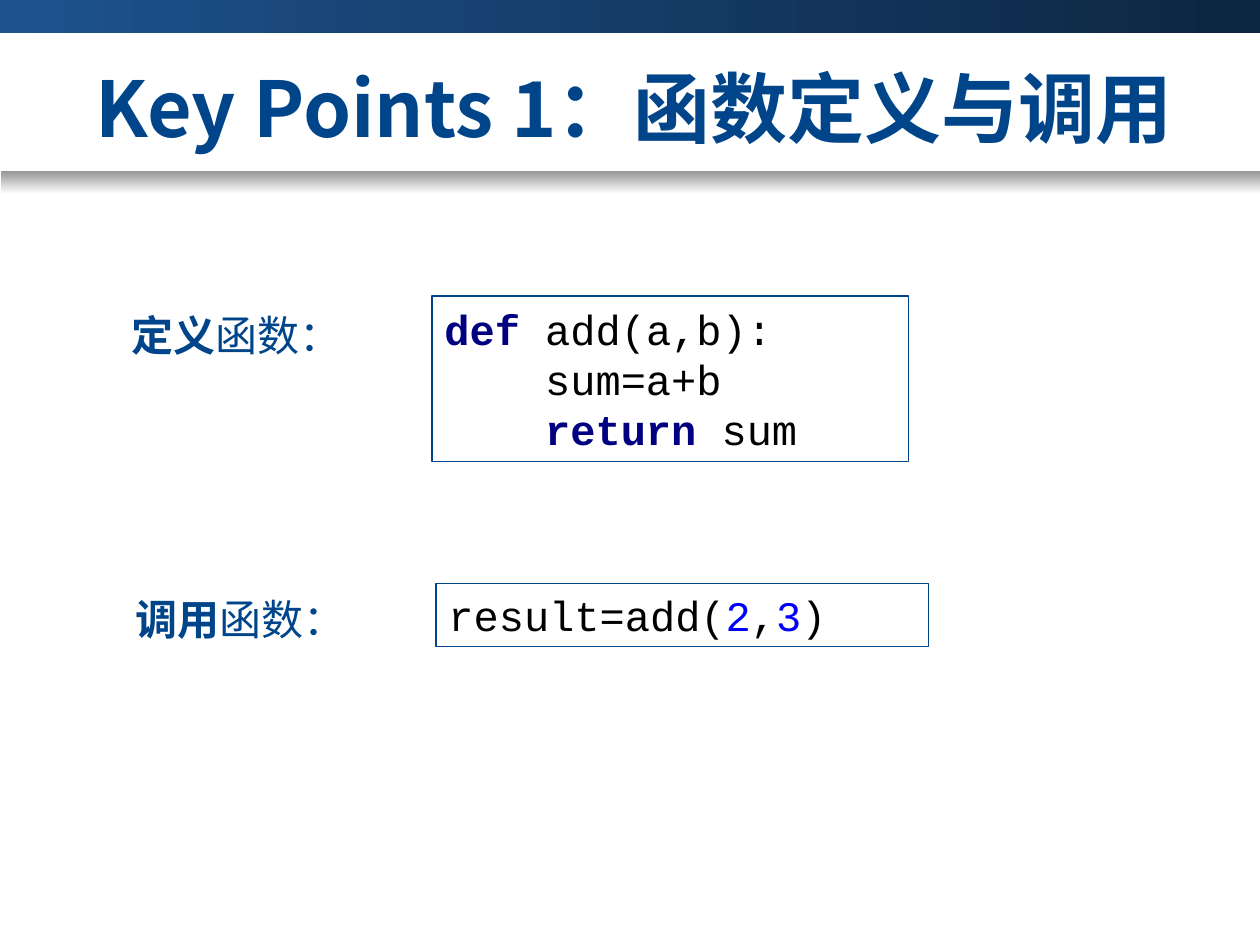
from pptx import Presentation
from pptx.dml.color import RGBColor
from pptx.enum.shapes import MSO_SHAPE as Shape
from pptx.enum.text import MSO_ANCHOR as Anchor, PP_ALIGN as Align
from pptx.oxml.ns import qn
from pptx.util import Cm, Pt
from lxml.etree import SubElement

BLUE, KEYWORD, NUMBER, BLACK, WHITE = "00458A", "000080", "0000FF", "000000", "FFFFFF"
SANS, TITLE_FONT, CODE_FONT = "Noto Sans CJK SC", "Noto Sans CJK KR", "Courier New"
CODE_INDENT = 2.03

TITLE = [(0, [("Key Points 1：函数定义与调用", BLUE, True)])]
TITLE_BOX = (0.41, 0.56, 23.5, 3.18)

BANDS = [
    ((0, 0, 25.4, 0.66), ("1D528D", "0D2641"), 0),
    ((0.03, 3.45, 25.37, 0.46), ("969696", WHITE), 270),
]

LABELS = [
    ((2.41, 6.12, 5.99, 1.27), "定义"),
    ((2.49, 11.84, 5, 1.27), "调用"),
]

CODE = [
    ((8.71, 5.97, 9.6, 3.33), [
        (0, [("def ", KEYWORD, True), ("add(a,b):", BLACK, False)]),
        (1, [("sum=a+b", BLACK, False)]),
        (1, [("return ", KEYWORD, True), ("sum", BLACK, False)]),
    ]),
    ((8.79, 11.76, 9.93, 1.27), [
        (0, [("result=add(", BLACK, False), ("2", NUMBER, False), (",", BLACK, False),
             ("3", NUMBER, False), (")", BLACK, False)]),
    ]),
]


def rgb(value):
    return RGBColor.from_string(value)


def lengths(box):
    return [Cm(value) for value in box]


def write(shape, lines, font=SANS, size=24, align=Align.LEFT, anchor=Anchor.TOP):
    frame = shape.text_frame
    frame.word_wrap = True
    frame.vertical_anchor = anchor
    for number, (level, pieces) in enumerate(lines):
        line = frame.add_paragraph() if number else frame.paragraphs[0]
        line.alignment = align
        if level:
            line._p.get_or_add_pPr().set("marL", str(Cm(level * CODE_INDENT)))
        for words, color, bold in pieces:
            run = line.add_run()
            run.text = words
            run.font.size = Pt(size)
            run.font.bold = bold
            run.font.color.rgb = rgb(color)
            run.font.name = font
            SubElement(run.font._element, qn("a:ea")).set("typeface", font)


def add_box(slide, box):
    shape = slide.shapes.add_shape(Shape.RECTANGLE, *lengths(box))
    shape.shadow.inherit = False
    return shape


def main():
    deck = Presentation()
    deck.slide_width, deck.slide_height = Cm(25.4), Cm(19.05)
    slide = deck.slides.add_slide(deck.slide_layouts[5])

    for box, colors, angle in BANDS:
        band = add_box(slide, box)
        band.line.fill.background()
        band.fill.gradient()
        band.fill.gradient_angle = angle
        for stop, color in zip(band.fill.gradient_stops, colors):
            stop.color.rgb = rgb(color)

    for box, action in LABELS:
        label = slide.shapes.add_textbox(*lengths(box))
        write(label, [(0, [(action, BLUE, True), ("函数：", BLUE, False)])])

    for box, lines in CODE:
        listing = add_box(slide, box)
        listing.fill.solid()
        listing.fill.fore_color.rgb = rgb(WHITE)
        listing.line.color.rgb = rgb(BLUE)
        listing.line.width = Pt(0.75)
        write(listing, lines, font=CODE_FONT, anchor=Anchor.MIDDLE)

    title = slide.shapes.title
    title.left, title.top, title.width, title.height = lengths(TITLE_BOX)
    write(title, TITLE, font=TITLE_FONT, size=44, align=Align.RIGHT, anchor=Anchor.MIDDLE)

    deck.save("out.pptx")


if __name__ == "__main__":
    main()
